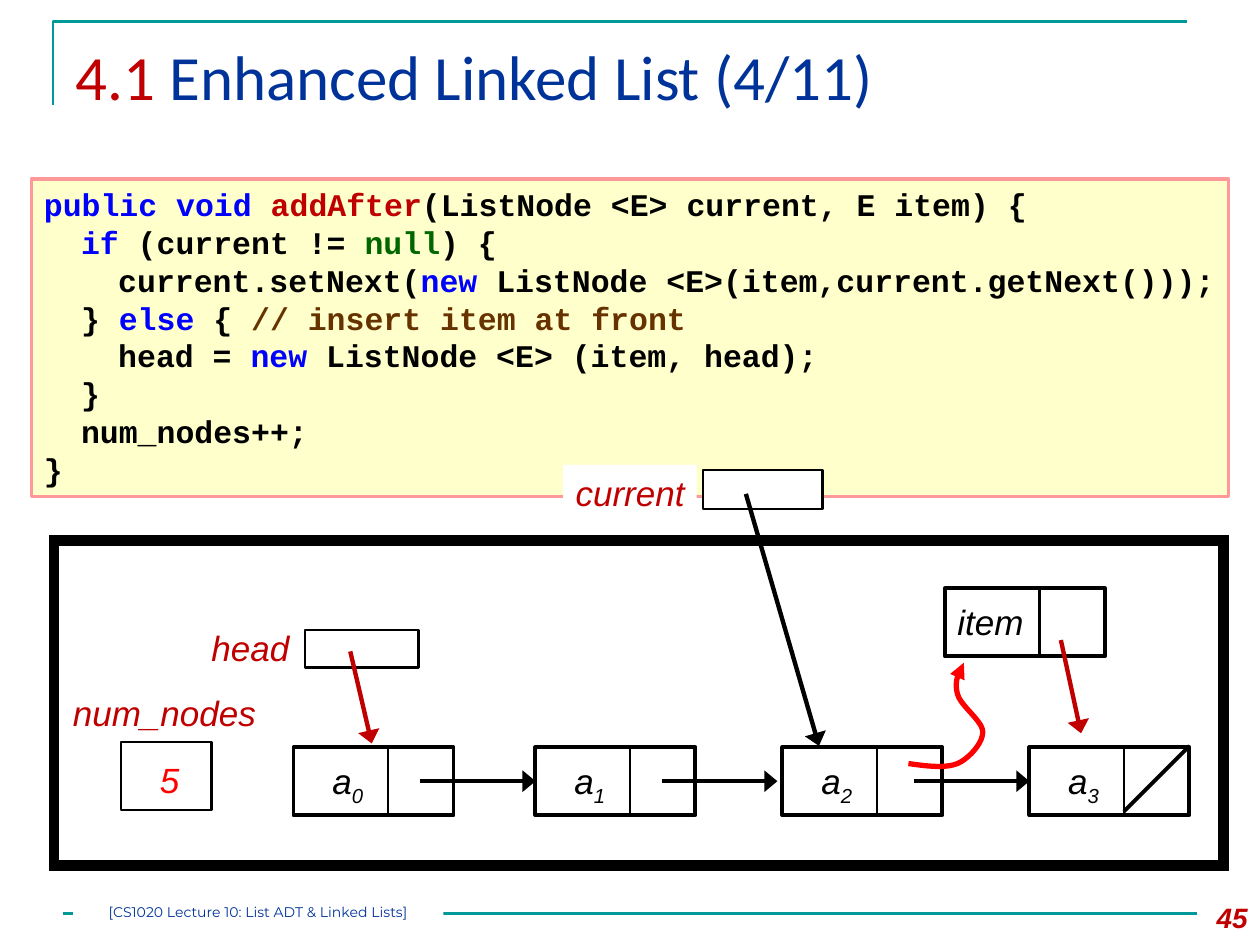
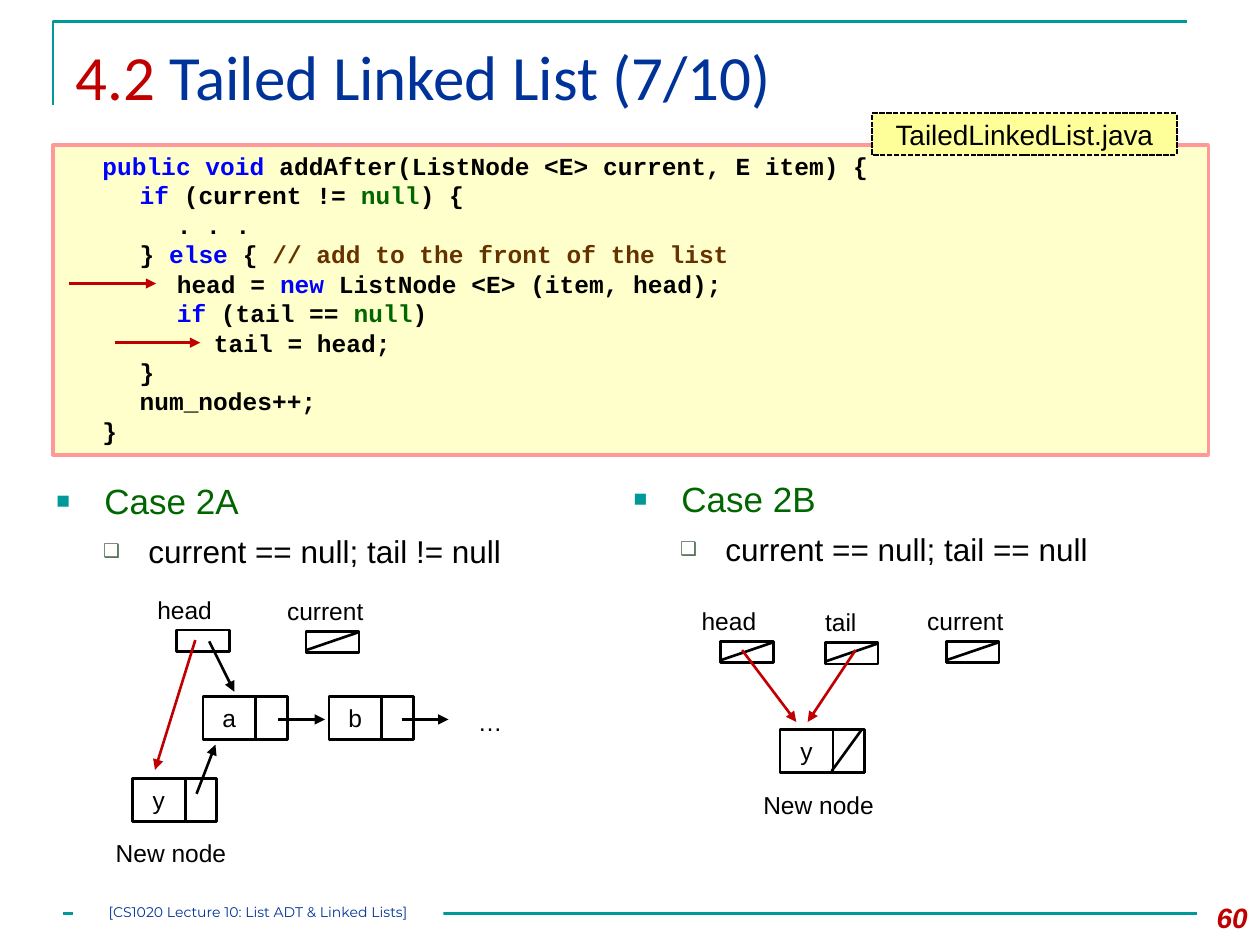
import pptx
import pptx.dml.color
import pptx.enum.dml
import pptx.enum.shapes
import pptx.enum.text
import pptx.oxml.ns
import pptx.util
from lxml import etree

Inches = pptx.util.Inches
ALIGN = pptx.enum.text.PP_ALIGN
HUES = {"teal": "009999", "navy": "003399", "red": "C00000", "black": "000000",
        "white": "FFFFFF", "cream": "FFFFCC", "pink": "FF9999", "yellow": "FFFF99",
        "blue": "0000FF", "green": "006600", "brown": "663300", "bright": "FF0000",
        "moss": "4C6D4E"}
SYNTAX = {"public void": "blue", "if": "blue", "else": "blue", "new": "blue",
          "null": "green"}
FOOTER = "[CS1020 Lecture 10: List ADT & Linked Lists]"

# "|" parts the runs of a line
ADD_ANY = ["public void |addAfter|(ListNode <E> current, E item) {",
           "\t|if| (current != |null|) {",
           "\t\tcurrent.setNext(|new| ListNode <E>(item,current.getNext()));",
           "\t} |else| { |// insert item at front",
           "\t\thead = |new| ListNode <E> (item, head);",
           "\t}",
           "\tnum_nodes++;",
           "}"]
ADD_TAIL = ["\t|public void |addAfter(ListNode <E> current, E item) {",
            "\t\t|if |(current != |null|) {",
            "\t\t\t. . .",
            "\t\t} |else| { |// add to the front of the list",
            "\t\t\thead = |new| ListNode <E> (item, head);",
            "\t\t\t|if| (tail == |null|)",
            "\t\t\t\ttail = head;",
            "\t\t}",
            "\t\tnum_nodes++;",
            "\t}"]


def rgb(hue):
    return pptx.dml.color.RGBColor.from_string(HUES[hue])


def tag(parent, name, **attrs):
    return etree.SubElement(parent, pptx.oxml.ns.qn("a:" + name), attrs)


def style(font, size, hue, face="Arial", bold=False, italic=False):
    font.size, font.name = pptx.util.Pt(size), face
    font.bold, font.italic = bold, italic
    font.color.rgb = rgb(hue)


def stroke(shape, hue, width, arrow=None):
    """Set the line; arrow is the width of its head, med or lg."""
    shape.line.color.rgb = rgb(hue)
    shape.line.width = pptx.util.Pt(width)
    if arrow:
        tag(shape.line._get_or_add_ln(), "tailEnd", type="triangle", w=arrow)


def box(slide, x, y, w, h, fill=None, hue="black", width=1.5):
    rect = slide.shapes.add_shape(pptx.enum.shapes.MSO_SHAPE.RECTANGLE,
                                  Inches(x), Inches(y), Inches(w), Inches(h))
    rect.shadow.inherit = False
    if fill:
        rect.fill.solid()
        rect.fill.fore_color.rgb = rgb(fill)
    else:
        rect.fill.background()
    if hue:
        stroke(rect, hue, width)
    else:
        rect.line.fill.background()
    return rect


def line(slide, x1, y1, x2, y2, hue="black", width=1.5, arrow=None):
    link = slide.shapes.add_connector(pptx.enum.shapes.MSO_CONNECTOR.STRAIGHT,
                                      Inches(x1), Inches(y1), Inches(x2), Inches(y2))
    stroke(link, hue, width, arrow)
    tag(link._element.spPr, "effectLst")
    return link


def path_shape(slide, points, hue, width, arrow=None):
    """Draw an open outline through points given in inches."""
    spots = [(Inches(x), Inches(y)) for x, y in points]
    pen = slide.shapes.build_freeform(*spots[0])
    pen.add_line_segments(spots[1:], close=False)
    shape = pen.convert_to_shape()
    shape.shadow.inherit = False
    shape.fill.background()
    stroke(shape, hue, width, arrow)


def bend(start, curves, steps=10):
    """Return points along a chain of cubic curves."""
    points = [start]
    for one, two, end in curves:
        ends = (points[-1], one, two, end)
        for i in range(1, steps + 1):
            t = i / steps
            mix = ((1 - t) ** 3, 3 * t * (1 - t) ** 2, 3 * t * t * (1 - t), t ** 3)
            points.append(tuple(sum(m * p[k] for m, p in zip(mix, ends))
                                for k in (0, 1)))
    return points


def fill_text(shape, text, size, hue="black", align=ALIGN.CENTER, **look):
    """Put one styled, unwrapped line into a shape."""
    frame = shape.text_frame
    frame.word_wrap = False
    frame.text = text
    para = frame.paragraphs[0]
    para.alignment = align
    style(para.runs[0].font, size, hue, **look)
    return frame


def label(slide, x, y, w, h, text, size, hue="black", align=ALIGN.LEFT, **look):
    area = slide.shapes.add_textbox(Inches(x), Inches(y), Inches(w), Inches(h))
    return fill_text(area, text, size, hue, align, **look)


def start(deck, number, name, page):
    """Add a slide with its corner rule, footer, title and page number."""
    slide = deck.slides.add_slide(deck.slide_layouts[5])
    path_shape(slide, [(0.42, 0.83), (0.42, 0.17), (9.42, 0.17)], "teal", 1.5)
    line(slide, 0.5, 7.25, 9.5, 7.25, "teal")
    foot = box(slide, 0.58, 7.17, 2.94, 0.23, "white", None)
    frame = fill_text(foot, FOOTER, 8, "navy", face="Montserrat")
    frame.word_wrap = True
    frame.margin_left = frame.margin_right = frame.margin_top = frame.margin_bottom = 0
    frame.vertical_anchor = pptx.enum.text.MSO_ANCHOR.TOP
    label(slide, 9.33, 7.1, 0.67, 0.4, page, 16, "red", ALIGN.RIGHT,
          bold=True, italic=True).word_wrap = True
    title = slide.shapes.title
    title.left, title.top = Inches(0.5), Inches(0.25)
    title.width, title.height = Inches(9), Inches(0.86)
    frame = title.text_frame
    frame.auto_size = pptx.enum.text.MSO_AUTO_SIZE.NONE
    frame.vertical_anchor = pptx.enum.text.MSO_ANCHOR.TOP
    para = frame.paragraphs[0]
    para.alignment = ALIGN.LEFT
    for text, hue in ((number + " ", "red"), (name, "navy")):
        run = para.add_run()
        run.text = text
        style(run.font, 36, hue, "Calibri")
    return slide


def code(slide, x, y, w, h, lines, size, hot=None):
    """Draw a code panel; the word hot is set in red."""
    frame = box(slide, x, y, w, h, "cream", "pink", 2).text_frame
    frame.word_wrap = True
    frame.vertical_anchor = pptx.enum.text.MSO_ANCHOR.TOP
    for i, row in enumerate(lines):
        para = frame.add_paragraph() if i else frame.paragraphs[0]
        para.alignment = ALIGN.LEFT
        tabs = tag(para._p.get_or_add_pPr(), "tabLst")
        for stop in range(1, 6):
            tag(tabs, "tab", pos=str(Inches(0.295 * stop)), algn="l")
        for part in row.split("|"):
            word = part.strip()
            hue = SYNTAX.get(word, "black")
            if word.startswith("//"):
                hue = "brown"
            elif word == hot:
                hue = "red"
            run = para.add_run()
            run.text = part
            style(run.font, size, hue, "Courier New", bold=True)


def node(slide, x, y, text, sub="", shift=0.21):
    """Draw a wide list node with a data cell and a link cell."""
    rect = box(slide, x, y, 1.27, 0.54, width=2.25)
    line(slide, x + 0.75, y, x + 0.75, y + 0.54)
    frame = label(slide, x + shift, y + 0.05, 0.46 if sub else 0.8, 0.44, text, 20,
                  italic=True)
    if sub:
        run = frame.paragraphs[0].add_run()
        run.text = sub
        style(run.font, 20, "black", italic=True)
        run._r.get_or_add_rPr().set("baseline", "-25000")
    return rect


def cell(slide, x, y, text):
    """Draw a small list node."""
    fill_text(box(slide, x, y, 0.42, 0.34), text, 14)
    box(slide, x + 0.42, y, 0.25, 0.34)


def ref(slide, x, y, text, null=True, shift=0.25):
    """Draw a named reference, struck through when null."""
    label(slide, x - shift, y - 0.33, 0.9, 0.34, text, 14)
    box(slide, x, y, 0.42, 0.17, "white")
    if null:
        line(slide, x, y + 0.15, x + 0.41, y + 0.01)


def case(slide, x, y, name, test):
    area = slide.shapes.add_textbox(Inches(x), Inches(y), Inches(4.4), Inches(1.03))
    frame = area.text_frame
    frame.word_wrap = True
    rows = ((name, 20, "green", 0.38, 0.38, "■", "teal", 65),
            (test, 18, "black", 0.73, 0.36, "❑", "moss", 60))
    for i, (text, size, hue, left, hang, mark, tint, scale) in enumerate(rows):
        para = frame.add_paragraph() if i else frame.paragraphs[0]
        para.text = text
        para.level = i
        props = para._p.get_or_add_pPr()
        props.set("marL", str(Inches(left)))
        props.set("indent", str(-Inches(hang)))
        tag(tag(props, "buClr"), "srgbClr", val=HUES[tint])
        tag(props, "buSzPct", val=str(scale * 1000))
        tag(props, "buFont", typeface="Arial")
        tag(props, "buChar", char=mark)
        para.space_before = pptx.util.Pt(6 * i)
        style(para.runs[0].font, size, hue)


def enhanced(deck):
    slide = start(deck, "4.1", "Enhanced Linked List (4/11)", "45")
    code(slide, 0.25, 1.42, 9.5, 2.52, ADD_ANY, 18, "addAfter")
    box(slide, 5.58, 3.73, 0.95, 0.31, "white")
    box(slide, 4.47, 3.69, 1.06, 0.43, "white", None)
    border = box(slide, 0.43, 4.29, 9.28, 2.58, width=6)
    tag(border.line._get_or_add_ln(), "miter", lim="800000")
    box(slide, 0.96, 5.89, 0.72, 0.54)
    box(slide, 2.42, 5, 0.9, 0.3)
    for x, y, w, text, hue in ((4.47, 3.69, 1.3, "current", "red"),
                               (0.48, 5.44, 1.8, "num_nodes", "red"),
                               (1.58, 4.92, 0.9, "head", "red"),
                               (1.17, 5.97, 0.36, "5", "bright")):
        label(slide, x, y, w, 0.44, text, 20, hue, italic=True)
    nodes = [node(slide, x, 5.93, "a", str(i))
             for i, x in enumerate((2.33, 4.25, 6.21, 8.17))]
    line(slide, 9.44, 5.92, 8.92, 6.44, width=2.25)
    for x, goal in ((3.33, nodes[1]), (5.25, None), (7.25, nodes[3])):
        link = line(slide, x, 6.2, x + 0.92, 6.2, width=2.5, arrow="lg")
        if goal:
            link.end_connect(goal, 1)
    curve = bend((7.21, 6.06), [((7.35, 6.08), (7.5, 6.1), (7.6, 6.06)),
                                ((7.69, 6.02), (7.8, 5.9), (7.8, 5.81)),
                                ((7.8, 5.72), (7.62, 5.6), (7.6, 5.51)),
                                ((7.57, 5.41), (7.61, 5.33), (7.65, 5.26))])
    path_shape(slide, curve, "bright", 3, arrow="med")
    node(slide, 7.5, 4.67, "item", shift=0)
    for ends, hue in (((2.78, 5.17, 2.95, 5.9), "red"),
                      ((8.42, 5.08, 8.58, 5.82), "red"),
                      ((5.92, 3.92, 6.5, 5.92), "black")):
        line(slide, *ends, hue, 2.5, arrow="lg")


def tailed(deck):
    slide = start(deck, "4.2", "Tailed Linked List (7/10)", "60")
    code(slide, 0.42, 1.15, 9.17, 2.46, ADD_TAIL, 14)
    name = box(slide, 6.92, 0.9, 2.42, 0.33, "yellow", width=1)
    name.line.dash_style = pptx.enum.dml.MSO_LINE.SQUARE_DOT
    fill_text(name, "TailedLinkedList.java", 16).word_wrap = True
    case(slide, 0.35, 3.76, "Case 2A", "current == null; tail != null")
    case(slide, 4.93, 3.74, "Case 2B", "current == null; tail == null")

    ref(slide, 1.4, 5, "head", null=False)
    ref(slide, 2.43, 5.01, "current")
    ref(slide, 5.72, 5.09, "head")
    ref(slide, 6.55, 5.1, "tail", shift=0.1)
    ref(slide, 7.51, 5.09, "current")
    for x, y, text in ((1.61, 5.53, "a"), (2.61, 5.53, "b"),
                       (1.05, 6.18, "y"), (6.19, 5.79, "y")):
        cell(slide, x, y, text)
    line(slide, 6.6, 6.12, 6.84, 5.79)
    label(slide, 3.65, 5.56, 0.48, 0.34, "…", 14, align=ALIGN.CENTER)
    for x, y in ((0.82, 6.6), (5.96, 6.22)):
        label(slide, x, y, 1.2, 0.34, "New node", 14)

    for ends in ((1.56, 6.3, 1.71, 5.91), (2.21, 5.71, 2.58, 5.71),
                 (3.19, 5.71, 3.56, 5.71), (1.66, 5.09, 1.86, 5.49)):
        line(slide, *ends, arrow="med")
    for ends in ((0.55, 2.25, 1.24, 2.25), (0.91, 2.72, 1.59, 2.72),
                 (6.79, 5.16, 6.41, 5.73), (5.89, 5.16, 6.32, 5.73),
                 (1.55, 5.08, 1.23, 6.11)):
        line(slide, *ends, "red", arrow="med")


def main():
    deck = pptx.Presentation()
    deck.slide_width, deck.slide_height = Inches(10), Inches(7.5)
    enhanced(deck)
    tailed(deck)
    deck.save("out.pptx")


if __name__ == "__main__":
    main()
